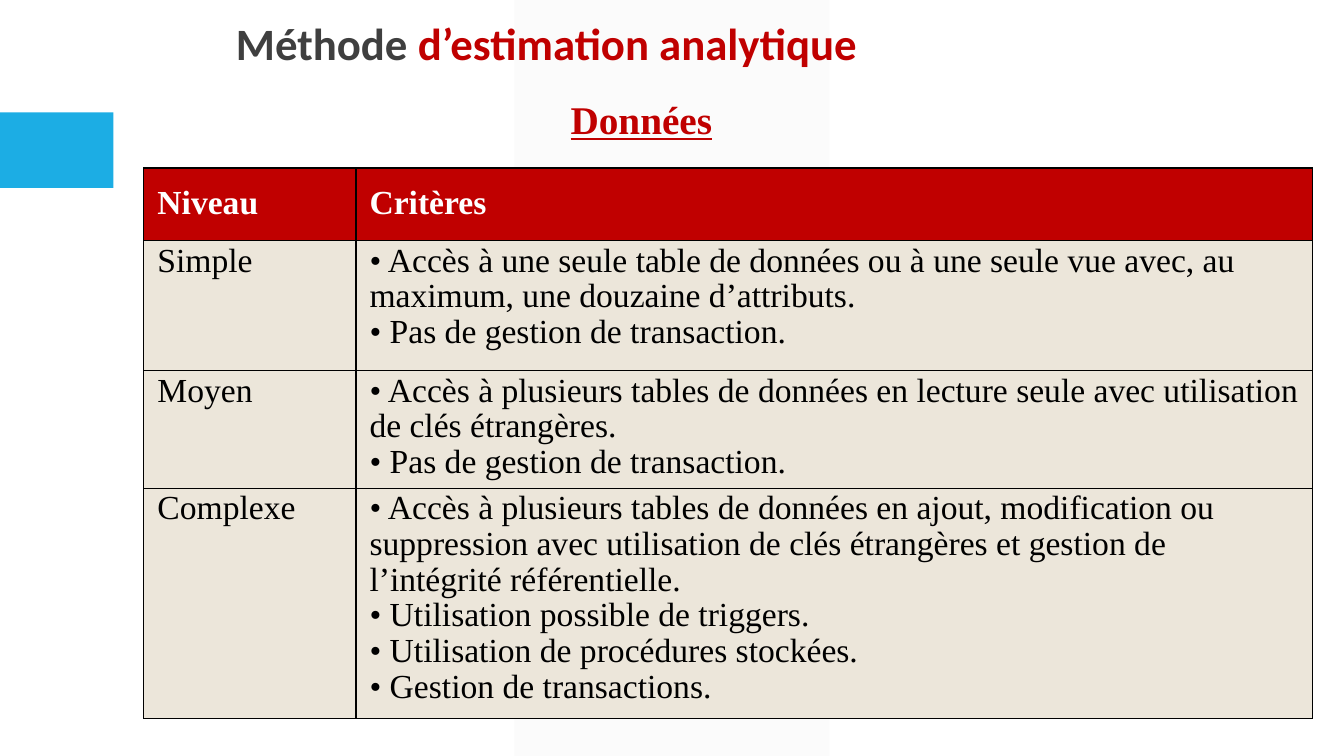
from lxml.etree import SubElement
from pptx import Presentation
from pptx.dml.color import RGBColor
from pptx.enum.shapes import MSO_SHAPE
from pptx.enum.text import MSO_ANCHOR, MSO_AUTO_SIZE, PP_ALIGN
from pptx.oxml import parse_xml
from pptx.oxml.ns import nsdecls, qn
from pptx.util import Pt

PX = 9525
HUES = {
    "white": "FFFFFF", "pale": "F2F2F2", "blue": "1CADE4", "grey": "3F3F3F",
    "red": "C00000", "sand": "ECE6DA", "black": "000000",
}
SERIF = "Times New Roman"


def box(*sides):
    return [side * PX for side in sides]


def style(font, face, size, hue, bold):
    font.name, font.size, font.bold = face, Pt(size), bold
    font.color.rgb = RGBColor.from_string(HUES[hue])


deck = Presentation()
deck.slide_width, deck.slide_height = box(1280, 720)
slide = deck.slides.add_slide(deck.slide_layouts[5])
title = slide.shapes.title

decor = [
    (MSO_SHAPE.PARALLELOGRAM, (490, 0, 300, 720), "pale"),
    (MSO_SHAPE.RECTANGLE, (0, 107, 108, 72), "blue"),
]
for kind, place, hue in decor:
    shape = slide.shapes.add_shape(kind, *box(*place))
    shape.shadow.inherit = False
    shape.fill.solid()
    shape.fill.fore_color.rgb = RGBColor.from_string(HUES[hue])
    shape.line.fill.background()
    if kind == MSO_SHAPE.PARALLELOGRAM:
        shape.adjustments[0] = 0
        color = shape.element.spPr.find(qn("a:solidFill"))[0]
        SubElement(color, qn("a:alpha"), val="28000")
    title.element.addprevious(shape.element)

title.left, title.top, title.width, title.height = box(215, 10, 1024, 88)
frame = title.text_frame
frame.auto_size = MSO_AUTO_SIZE.NONE
frame.vertical_anchor = MSO_ANCHOR.TOP
head = frame.paragraphs[0]
head.alignment = PP_ALIGN.LEFT
for text, hue in [("Méthode ", "grey"), ("d’estimation analytique", "red")]:
    run = head.add_run()
    run.text = text
    style(run.font, "Calibri", 32, hue, True)

rows = [
    (69, "Niveau", ["Critères"]),
    (124, "Simple", [
        "• Accès à une seule table de données ou à une seule vue avec, au maximum, une douzaine d’attributs.",
        "• Pas de gestion de transaction.",
    ]),
    (112, "Moyen", [
        "• Accès à plusieurs tables de données en lecture seule avec utilisation de clés étrangères.",
        "• Pas de gestion de transaction.",
    ]),
    (219, "Complexe", [
        "• Accès à plusieurs tables de données en ajout, modification ou suppression avec utilisation de clés étrangères et gestion de l’intégrité référentielle.",
        "• Utilisation possible de triggers.",
        "• Utilisation de procédures stockées.",
        "• Gestion de transactions.",
    ]),
]
cols = [202, 911]
total = sum(row[0] for row in rows)
grid = slide.shapes.add_table(len(rows), len(cols), *box(137, 160, sum(cols), total)).table
grid.horz_banding = False
for col, width in zip(grid.columns, cols):
    col.width = width * PX
for i, (height, level, rules) in enumerate(rows):
    top = i == 0
    grid.rows[i].height = height * PX
    for j, text in enumerate([level, "\v".join(rules)]):
        cell = grid.cell(i, j)
        cell.margin_left = cell.margin_right = 13 * PX
        cell.margin_top = cell.margin_bottom = (5 if top else 3) * PX
        cell.vertical_anchor = MSO_ANCHOR.MIDDLE if top else MSO_ANCHOR.TOP
        para = cell.text_frame.paragraphs[0]
        para.text = text
        para.line_spacing = 0.96
        style(para.font, SERIF, 24, "white" if top else "black", top)
        props = cell._tc.get_or_add_tcPr()
        for side in ("lnL", "lnR", "lnT", "lnB"):
            props.append(parse_xml(
                f'<a:{side} {nsdecls("a")} w="12700"><a:solidFill>'
                f'<a:srgbClr val="{HUES["black"]}"/></a:solidFill></a:{side}>'))
        cell.fill.solid()
        cell.fill.fore_color.rgb = RGBColor.from_string(HUES["red" if top else "sand"])

label = slide.shapes.add_textbox(*box(534, 86, 695, 55)).text_frame
label.word_wrap = True
label.auto_size = MSO_AUTO_SIZE.SHAPE_TO_FIT_TEXT
para = label.paragraphs[0]
para.text = "Données"
style(para.font, SERIF, 28, "red", True)
para.font.underline = True

deck.save("out.pptx")
